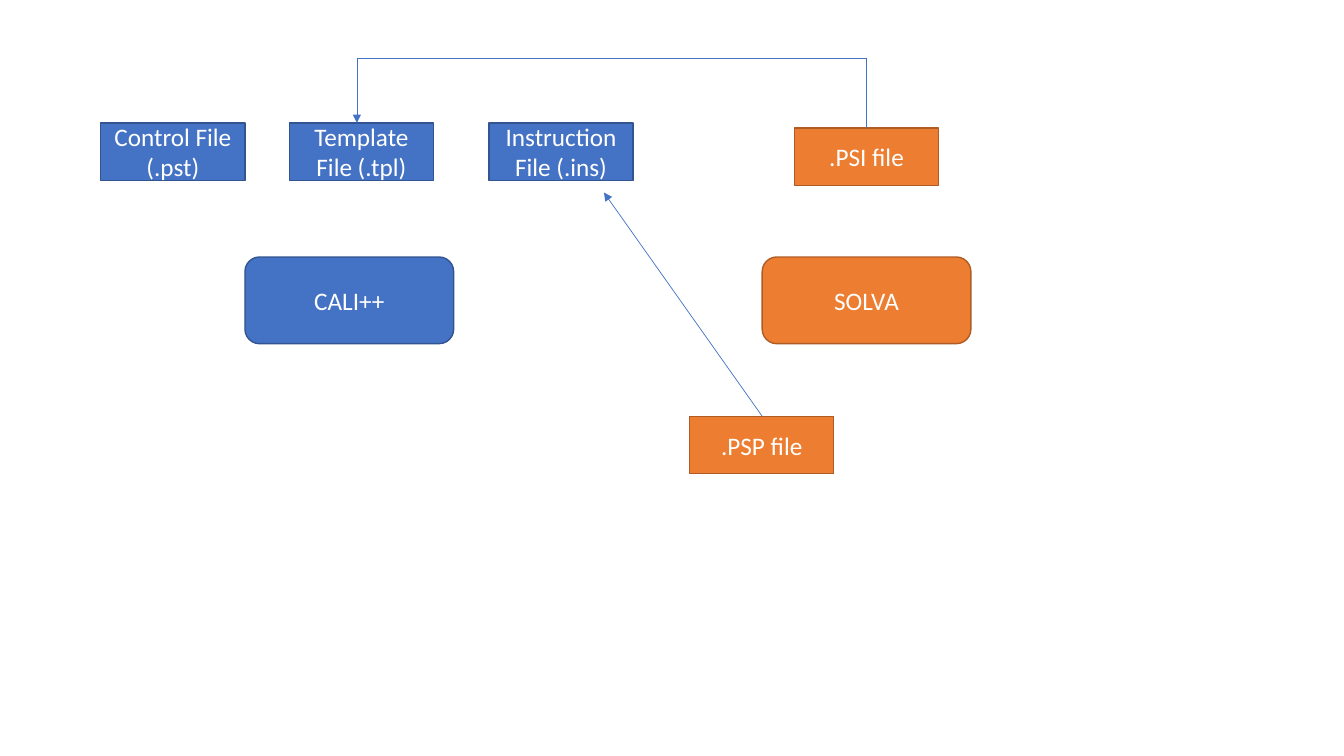
from dataclasses import dataclass
from itertools import pairwise

from lxml import etree
from pptx import Presentation
from pptx.dml.color import RGBColor
from pptx.enum.shapes import MSO_CONNECTOR, MSO_SHAPE
from pptx.enum.text import MSO_ANCHOR, PP_ALIGN
from pptx.oxml.ns import qn
from pptx.util import Inches, Pt

RECT = MSO_SHAPE.RECTANGLE
ROUND = MSO_SHAPE.ROUNDED_RECTANGLE
STRAIGHT = MSO_CONNECTOR.STRAIGHT
MIDDLE = MSO_ANCHOR.MIDDLE
CENTER = PP_ALIGN.CENTER


@dataclass(frozen=True)
class Theme:
    blue: tuple = ("4472C4", "325491")
    orange: tuple = ("ED7D31", "AF5C24")
    white: str = "FFFFFF"
    font: str = "Calibri"
    size: float = 18
    edge: float = 1
    wire: float = 0.5


THEME = Theme()
FILE_SIZE = (1.43, 0.57)
TOOL_SIZE = (2.07, 0.86)
FILE_TOP = 1.22
TOOL_TOP = 2.55


def color(code):
    return RGBColor.from_string(code)


def write(frame, text, font=THEME.font, size=THEME.size, ink=THEME.white,
          align=CENTER, anchor=MIDDLE):
    frame.word_wrap = True
    frame.vertical_anchor = anchor
    line = frame.paragraphs[0]
    line.alignment = align
    run = line.add_run()
    run.text = text
    run.font.name = font
    run.font.size = Pt(size)
    run.font.color.rgb = color(ink)


def add_box(slide, kind, text, left, top, size, paint):
    fill, edge = paint
    box = slide.shapes.add_shape(kind, Inches(left), Inches(top), *map(Inches, size))
    box.shadow.inherit = False
    box.fill.solid()
    box.fill.fore_color.rgb = color(fill)
    box.line.color.rgb = color(edge)
    box.line.width = Pt(THEME.edge)
    write(box.text_frame, text)


def add_file(slide, text, left, top, paint):
    add_box(slide, RECT, text, left, top, FILE_SIZE, paint)


def add_tool(slide, text, left, paint):
    add_box(slide, ROUND, text, left, TOOL_TOP, TOOL_SIZE, paint)


def add_line(shapes, start, end, arrow=False):
    wire = shapes.add_connector(STRAIGHT, *map(Inches, (*start, *end)))
    wire.line.color.rgb = color(THEME.blue[0])
    wire.line.width = Pt(THEME.wire)
    props = wire._element.spPr
    if arrow:
        etree.SubElement(props.find(qn("a:ln")), qn("a:tailEnd"), type="triangle")
    etree.SubElement(props, qn("a:effectLst"))


def add_route(slide, points):
    group = slide.shapes.add_group_shape()
    for start, end in pairwise(points):
        add_line(group.shapes, start, end, arrow=end == points[-1])


def main():
    deck = Presentation()
    deck.slide_width = Inches(13.33)
    deck.slide_height = Inches(7.5)
    slide = deck.slides.add_slide(deck.slide_layouts[6])

    add_tool(slide, "CALI++", 2.43, THEME.blue)
    add_tool(slide, "SOLVA", 7.56, THEME.orange)
    add_file(slide, ".PSI file", 7.88, 1.27, THEME.orange)
    inputs = (("Control File (.pst)", 1), ("Template File (.tpl)", 2.87),
              ("Instruction File (.ins)", 4.85))
    for text, left in inputs:
        add_file(slide, text, left, FILE_TOP, THEME.blue)
    add_file(slide, ".PSP file", 6.84, 4.13, THEME.orange)

    add_line(slide.shapes, (7.56, 4.13), (5.99, 1.91), arrow=True)
    add_route(slide, [(8.59, 1.27), (8.59, 0.58), (3.54, 0.58), (3.54, FILE_TOP)])
    deck.save("out.pptx")


main()
